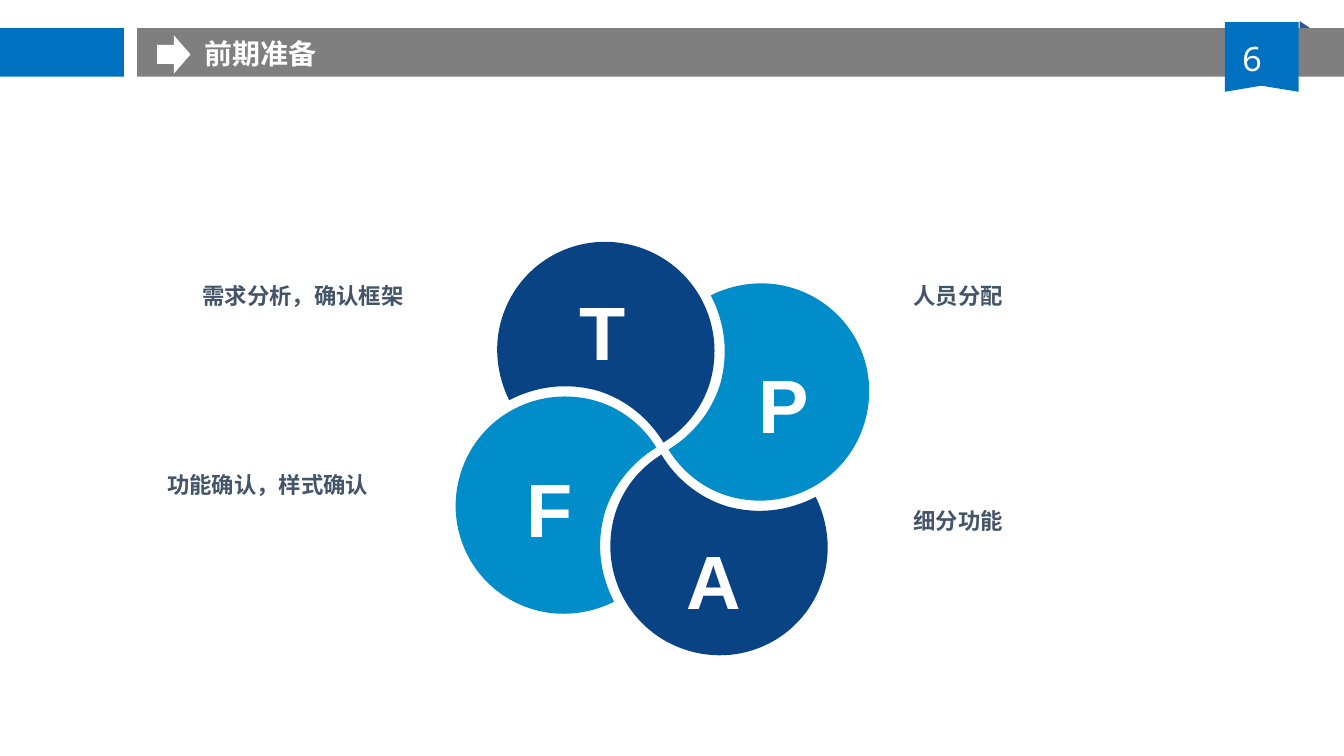
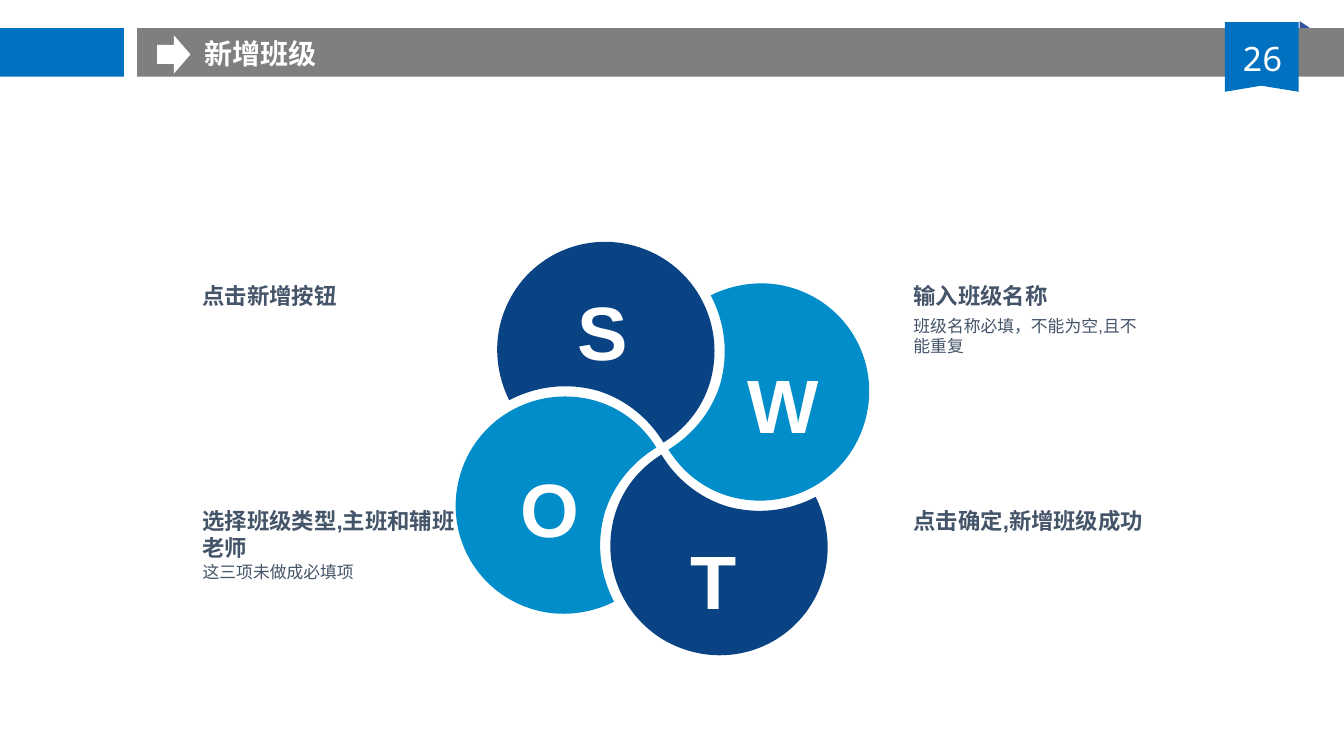
from lxml import etree
from pptx import Presentation
from pptx.dml.color import RGBColor
from pptx.enum.shapes import MSO_SHAPE
from pptx.enum.text import MSO_AUTO_SIZE, PP_ALIGN
from pptx.oxml.ns import qn
from pptx.util import Inches, Pt

RECT, ARROW, FOLD = MSO_SHAPE.RECTANGLE, MSO_SHAPE.RIGHT_ARROW, MSO_SHAPE.RIGHT_TRIANGLE
LEFT, MID = PP_ALIGN.LEFT, PP_ALIGN.CENTER
GROW = MSO_AUTO_SIZE.SHAPE_TO_FIT_TEXT
CJK = "Noto Sans CJK SC"
HUES = {"blue": "0070C0", "grey": "7F7F7F", "white": "FFFFFF", "fold": "0D348B",
        "navy": "0A4383", "sky": "018DC9", "slate": "445469"}


def paint(shape, hue):
    shape.fill.solid()
    shape.fill.fore_color.rgb = RGBColor.from_string(HUES[hue])
    shape.line.fill.background()
    shape.shadow.inherit = False


def write(slide, text, at, size=16, font="Arial", hue="slate", bold=True,
          align=LEFT, inset=(0, 0), wrap=True):
    box = slide.shapes.add_textbox(*map(Inches, at))
    frame = box.text_frame
    frame.word_wrap = wrap
    frame.auto_size = GROW
    frame.margin_left = frame.margin_right = Inches(inset[0])
    frame.margin_top = frame.margin_bottom = Inches(inset[1])
    para = frame.paragraphs[0]
    para.alignment = align
    run = para.add_run()
    run.text = text
    run.font.size, run.font.bold, run.font.name = Pt(size), bold, font
    run.font.color.rgb = RGBColor.from_string(HUES[hue])
    etree.SubElement(run.font._element, qn("a:ea"), typeface=CJK)


# Shared header: shape, place, colour
BARS = [
    (FOLD, (12.89, 0.21, 0.12, 0.08), "fold"),
    (RECT, (0, 0.28, 1.23, 0.48), "blue"),
    (RECT, (1.36, 0.28, 11.97, 0.48), "grey"),
    (ARROW, (1.56, 0.35, 0.33, 0.38), "white"),
]
RIBBON = [(12.15, 0.91), (12.15, 0.22), (12.88, 0.22), (12.88, 0.91), (12.51, 0.85)]

# Top petal as cubic curves; the others are quarter turns about the hub
HUB = (6.57, 4.45)
PETAL = [
    (5.94, 3.88),
    (6.22, 3.97), (6.44, 4.16), (6.58, 4.39),
    (6.79, 4.26), (6.96, 4.06), (7.04, 3.8),
    (7.21, 3.23), (6.9, 2.63), (6.33, 2.45),
    (5.76, 2.27), (5.16, 2.58), (4.98, 3.15),
    (4.89, 3.43), (4.93, 3.73), (5.05, 3.97),
    (5.32, 3.83), (5.63, 3.79), (5.94, 3.88),
]
SPOTS = [(5.26, 2.76), (7.05, 3.48), (6.36, 5.23), (4.73, 4.51)]

# Head and note are the two label styles
HEAD = {"size": 16, "bold": True}
NOTE = {"size": 12, "bold": False}
LOOSE = {"inset": (0.1, 0.05), "wrap": False}
WEST, EAST, NORTH, SOUTH = 2.01, 9.06, 2.8, 5.03
PAGES = [
    ("前期准备", "6 ", "TPAF", [
        ("需求分析，确认框架", (WEST, NORTH, 2.56, 0.27), HEAD),
        ("人员分配", (EAST, NORTH, 2.56, 0.27), HEAD),
        ("细分功能", (EAST, SOUTH, 2.56, 0.27), HEAD),
        ("功能确认，样式确认", (1.56, 4.62, 2.2, 0.37), HEAD | LOOSE),
    ]),
    ("新增班级", "26 ", "SWTO", [
        ("点击新增按钮", (WEST, NORTH, 2.56, 0.27), HEAD),
        ("选择班级类型,主班和辅班老师", (WEST, SOUTH, 2.56, 0.54), HEAD),
        ("这三项未做成必填项", (WEST, 5.57, 2.22, 0.2), NOTE),
        ("输入班级名称", (EAST, NORTH, 2.56, 0.27), HEAD),
        ("班级名称必填，不能为空,且不能重复", (EAST, 3.13, 2.22, 0.4), NOTE),
        ("点击确定,新增班级成功", (EAST, SOUTH, 2.56, 0.27), HEAD),
    ]),
]

deck = Presentation()
deck.slide_width, deck.slide_height = Inches(13.33), Inches(7.5)

for title, number, letters, labels in PAGES:
    slide = deck.slides.add_slide(deck.slide_layouts[6])

    # Header bars
    for kind, at, hue in BARS:
        bar = slide.shapes.add_shape(kind, *map(Inches, at))
        paint(bar, hue)
        if kind == FOLD:
            tint = next(bar._element.spPr.iter(qn("a:srgbClr")))
            etree.SubElement(tint, qn("a:alpha"), val="85000")

    # Page ribbon and title
    dots = [(Inches(x), Inches(y)) for x, y in RIBBON]
    pen = slide.shapes.build_freeform(*dots[0])
    pen.add_line_segments(dots[1:])
    paint(pen.convert_to_shape(), "blue")
    write(slide, number, (12.15, 0.33, 0.74, 0.51), size=24, font="Noto Sans Mono",
          hue="white", bold=False, align=MID, inset=(0.1, 0.05))
    write(slide, title, (1.93, 0.31, 3.09, 0.44), size=20, font=CJK,
          hue="white", inset=(0.1, 0.05))

    # Petals
    turn = [(x - HUB[0], y - HUB[1]) for x, y in PETAL]
    for hue in ("navy", "sky") * 2:
        dots = [(Inches(HUB[0] + x), Inches(HUB[1] + y)) for x, y in turn]
        pen = slide.shapes.build_freeform(*dots[0])
        pen.add_line_segments(dots[1:])
        petal = pen.convert_to_shape()
        paint(petal, hue)
        # Each three straight steps become one curve
        steps = list(petal._element.iter(qn("a:lnTo")))
        for first in range(0, len(steps), 3):
            curve = etree.Element(qn("a:cubicBezTo"))
            steps[first].addprevious(curve)
            for step in steps[first:first + 3]:
                curve.append(step[0])
                step.getparent().remove(step)
        turn = [(-y, x) for x, y in turn]

    # Petal letters
    for letter, spot in zip(letters, SPOTS):
        write(slide, letter, (*spot, 1.44, 1.04), size=54, hue="white",
              align=MID, inset=(0.13, 0.07))

    # Labels
    for text, at, style in labels:
        write(slide, text, at, **style)

deck.save("out.pptx")
